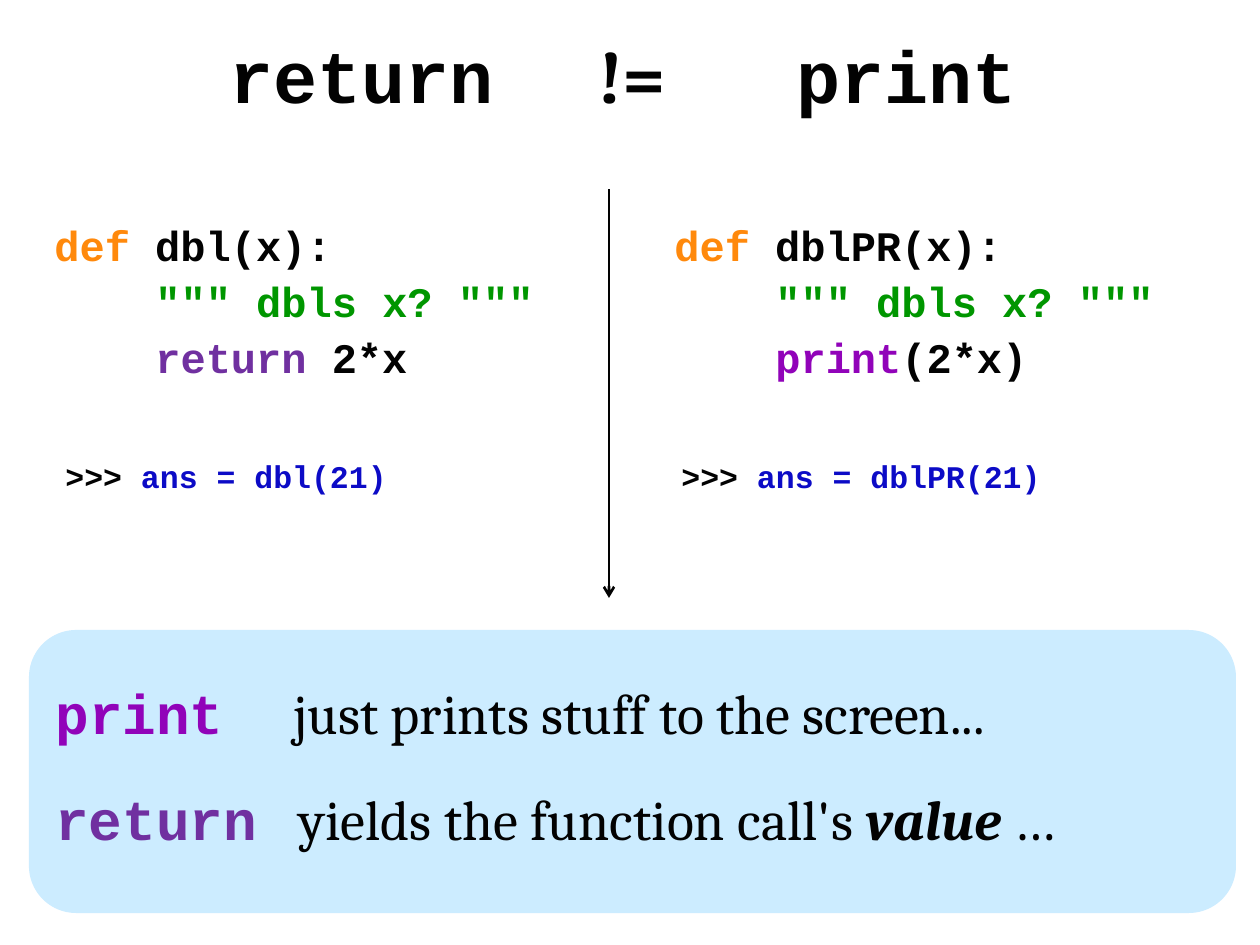
import dataclasses
import lxml.etree
import pptx
import pptx.dml.color
import pptx.enum.shapes
import pptx.enum.text
import pptx.oxml.ns
import pptx.util

SCALE = 914400 / 126
INK = "020202"
BLUE = "0C0BC6"
GREEN = "009600"
ORANGE = "FF890C"
PURPLE = "7030A0"
VIOLET = "9103B9"
MONO = "Courier New"
SERIF = "Cambria"


@dataclasses.dataclass
class Span:
    text: str
    color: str = INK
    font: str = MONO
    bold: bool = True
    slant: bool = False


@dataclasses.dataclass
class Line:
    spans: list[Span]
    indent: int = 0
    stops: tuple[int, ...] = ()


@dataclasses.dataclass
class Block:
    box: tuple[int, int, int, int]
    size: int
    lines: list[Line]
    pitch: float = 0.93
    gap: bool = True
    inset: float = 12.6


@dataclasses.dataclass
class Sample:
    left: int
    shell: tuple[int, int]
    name: str
    body: list[Span]


def px(length: float) -> int:
    return round(length * SCALE)


def rgb(code: str) -> pptx.dml.color.RGBColor:
    return pptx.dml.color.RGBColor.from_string(code)


def add(parent, tag: str, **attrs: str):
    return lxml.etree.SubElement(parent, pptx.oxml.ns.qn(tag), attrs)


def write(para, line: Line, block: Block) -> None:
    para.line_spacing = block.pitch
    props = para._p.get_or_add_pPr()
    if line.indent:
        props.set("marL", str(px(line.indent)))
    if block.gap:
        add(add(props, "a:spcBef"), "a:spcPct", val="50000")
    if line.stops:
        tabs = add(props, "a:tabLst")
        for stop in line.stops:
            add(tabs, "a:tab", pos=str(px(stop)), algn="l")
    for span in line.spans:
        run = para.add_run()
        run.text = span.text
        font = run.font
        font.name = span.font
        font.size = pptx.util.Pt(block.size)
        font.bold = span.bold
        font.italic = span.slant
        font.color.rgb = rgb(span.color)


def draw(slide, block: Block) -> None:
    frame = slide.shapes.add_textbox(*map(px, block.box)).text_frame
    frame.word_wrap = True
    frame.auto_size = pptx.enum.text.MSO_AUTO_SIZE.SHAPE_TO_FIT_TEXT
    frame.margin_left = px(block.inset)
    for index, line in enumerate(block.lines):
        para = frame.add_paragraph() if index else frame.paragraphs[0]
        write(para, line, block)


def code(slide, item: Sample) -> None:
    lines = [
        Line([Span("def ", ORANGE), Span(f"{item.name}(x):")]),
        Line([Span('""" dbls x? """', GREEN)], indent=101),
        Line(item.body, indent=101),
    ]
    draw(slide, Block((item.left, 227, 567, 174), 24, lines, pitch=0.7))
    left, width = item.shell
    call = Line([Span(">>> "), Span(f"ans = {item.name}(21)", BLUE)])
    draw(slide, Block((left, 454, width, 49), 18, [call], gap=False))


def panel(slide) -> None:
    kind = pptx.enum.shapes.MSO_SHAPE.ROUNDED_RECTANGLE
    shape = slide.shapes.add_shape(kind, px(29), px(630), px(1207), px(283))
    shape.shadow.inherit = False
    shape.fill.solid()
    shape.fill.fore_color.rgb = rgb("CCECFF")
    shape.line.fill.background()


def arrow(slide) -> None:
    kind = pptx.enum.shapes.MSO_CONNECTOR.STRAIGHT
    line = slide.shapes.add_connector(kind, px(609), px(189), px(609), px(598))
    line.line.color.rgb = rgb(INK)
    line.line.width = pptx.util.Pt(1.5)
    add(line.line._get_or_add_ln(), "a:tailEnd", type="arrow")
    add(line._element.spPr, "a:effectLst")


def main() -> None:
    deck = pptx.Presentation()
    deck.slide_width = px(1260)
    deck.slide_height = px(945)
    slide = deck.slides.add_slide(deck.slide_layouts[6])

    panel(slide)
    title = Line(
        [Span("return\t"), Span("!=\t", font=SERIF), Span("print")],
        stops=(369, 567),
    )
    draw(slide, Block((54, 32, 1139, 101), 42, [title], inset=175))

    samples = [
        Sample(42, (53, 612), "dbl", [Span("return", PURPLE), Span(" 2*x")]),
        Sample(662, (669, 538), "dblPR", [Span("print", VIOLET), Span("(2*x)")]),
    ]
    for item in samples:
        code(slide, item)

    facts = [
        (678, 1013, 238, [
            Span("print\t", VIOLET),
            Span("just prints stuff to the screen...", font=SERIF, bold=False),
        ]),
        (784, 1145, 243, [
            Span("return\t", PURPLE),
            Span("yields the function call's ", font=SERIF, bold=False),
            Span("value ", font=SERIF, slant=True),
            Span("…", font=SERIF, bold=False),
        ]),
    ]
    for top, width, stop, spans in facts:
        line = Line(spans, stops=(stop,))
        draw(slide, Block((43, top, width, 81), 32, [line]))

    arrow(slide)
    deck.save("out.pptx")


if __name__ == "__main__":
    main()
